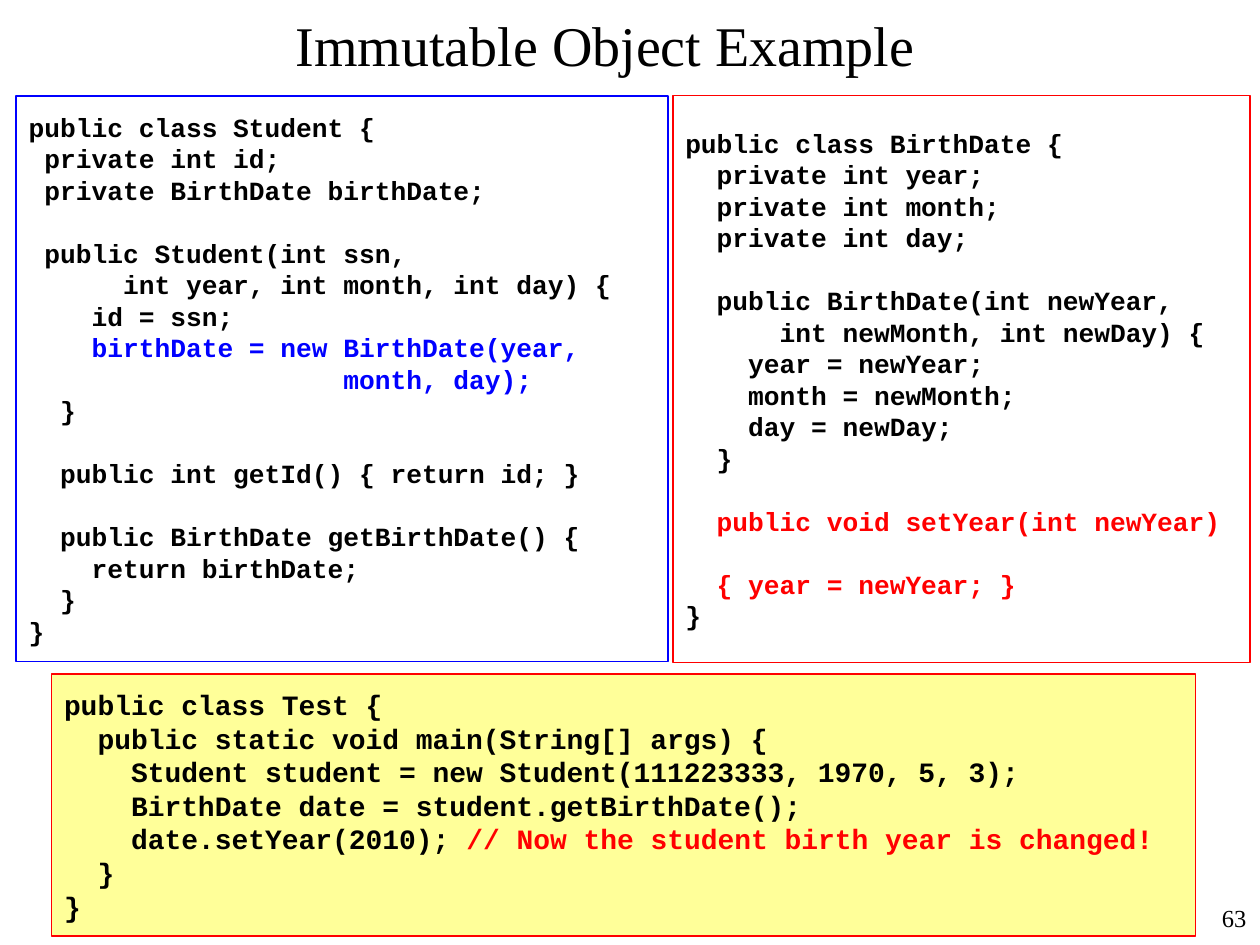
from pptx import Presentation
from pptx.dml.color import RGBColor as Rgb
from pptx.enum.shapes import MSO_SHAPE as Shape
from pptx.enum.text import MSO_ANCHOR as Anchor, PP_ALIGN as Align
from pptx.util import Inches, Pt

BLACK, BLUE, RED, YELLOW = "000000", "0000FF", "FF0000", "FFFF99"

STUDENT = [
    ("""public class Student {
 private int id;
 private BirthDate birthDate;

 public Student(int ssn,
      int year, int month, int day) {
    id = ssn;
""", BLACK),
    ("""    birthDate = new BirthDate(year,
                    month, day);
""", BLUE),
    ("""  }

  public int getId() { return id; }

  public BirthDate getBirthDate() {
    return birthDate;
  }
}""", BLACK)]

BIRTH = [
    ("""public class BirthDate {
  private int year;
  private int month;
  private int day;

  public BirthDate(int newYear,
      int newMonth, int newDay) {
    year = newYear;
    month = newMonth;
    day = newDay;
  }

""", BLACK),
    ("""  public void setYear(int newYear)

  { year = newYear; }
""", RED),
    ("}", BLACK)]

TEST = [
    ("""public class Test {
  public static void main(String[] args) {
    Student student = new Student(111223333, 1970, 5, 3);
    BirthDate date = student.getBirthDate();
    date.setYear(2010); """, BLACK),
    ("// Now the student birth year is changed!\n", RED),
    ("""  }
}""", BLACK)]


def color(code):
    return Rgb.from_string(code)


def style(font, name, size, bold=False):
    font.name, font.size, font.bold = name, Pt(size), bold
    font.color.rgb = color(BLACK)


def add_code(para, parts):
    """Add coloured parts of code, with line breaks inside one paragraph."""
    for text, hue in parts:
        for i, line in enumerate(text.split("\n")):
            if i:
                para.add_line_break()
            if line:
                run = para.add_run()
                run.text = line
                run.font.color.rgb = color(hue)


def add_panel(slide, area, parts, size, edge, width, fill=None):
    box = slide.shapes.add_shape(Shape.RECTANGLE, *map(Inches, area))
    box.shadow.inherit = False
    box.line.color.rgb = color(edge)
    box.line.width = Pt(width)
    if fill:
        box.fill.solid()
        box.fill.fore_color.rgb = color(fill)
    else:
        box.fill.background()
    frame = box.text_frame
    frame.word_wrap = True
    frame.vertical_anchor = Anchor.MIDDLE
    para = frame.paragraphs[0]
    para.alignment = Align.LEFT
    style(para.font, "Courier New", size, True)
    add_code(para, parts)


def set_label(box, text, size, align):
    frame = box.text_frame
    frame.text = text
    frame.vertical_anchor = Anchor.MIDDLE
    para = frame.paragraphs[0]
    para.alignment = align
    style(para.font, "Times New Roman", size)


def add_title(slide, text):
    title = slide.shapes.title
    title.left, title.top = Inches(1.63), Inches(0.1)
    title.width, title.height = Inches(6.35), Inches(0.5)
    set_label(title, text, 32, Align.CENTER)


def add_number(slide, text):
    area = map(Inches, (7.91, 7.03, 2.08, 0.5))
    box = slide.shapes.add_textbox(*area)
    box.text_frame.word_wrap = True
    set_label(box, text, 14, Align.RIGHT)


def main():
    deck = Presentation()
    deck.slide_width, deck.slide_height = Inches(10), Inches(7.5)
    slide = deck.slides.add_slide(deck.slide_layouts[5])
    add_number(slide, "63")
    add_title(slide, "Immutable Object Example")
    add_panel(slide, (0.13, 0.76, 5.17, 4.49), STUDENT, 15, BLUE, 1)
    add_panel(slide, (5.34, 0.76, 4.58, 4.5), BIRTH, 15, RED, 0.75)
    add_panel(slide, (0.41, 5.35, 9.08, 2.08), TEST, 16, RED, 0.75, YELLOW)
    deck.save("out.pptx")


if __name__ == "__main__":
    main()
